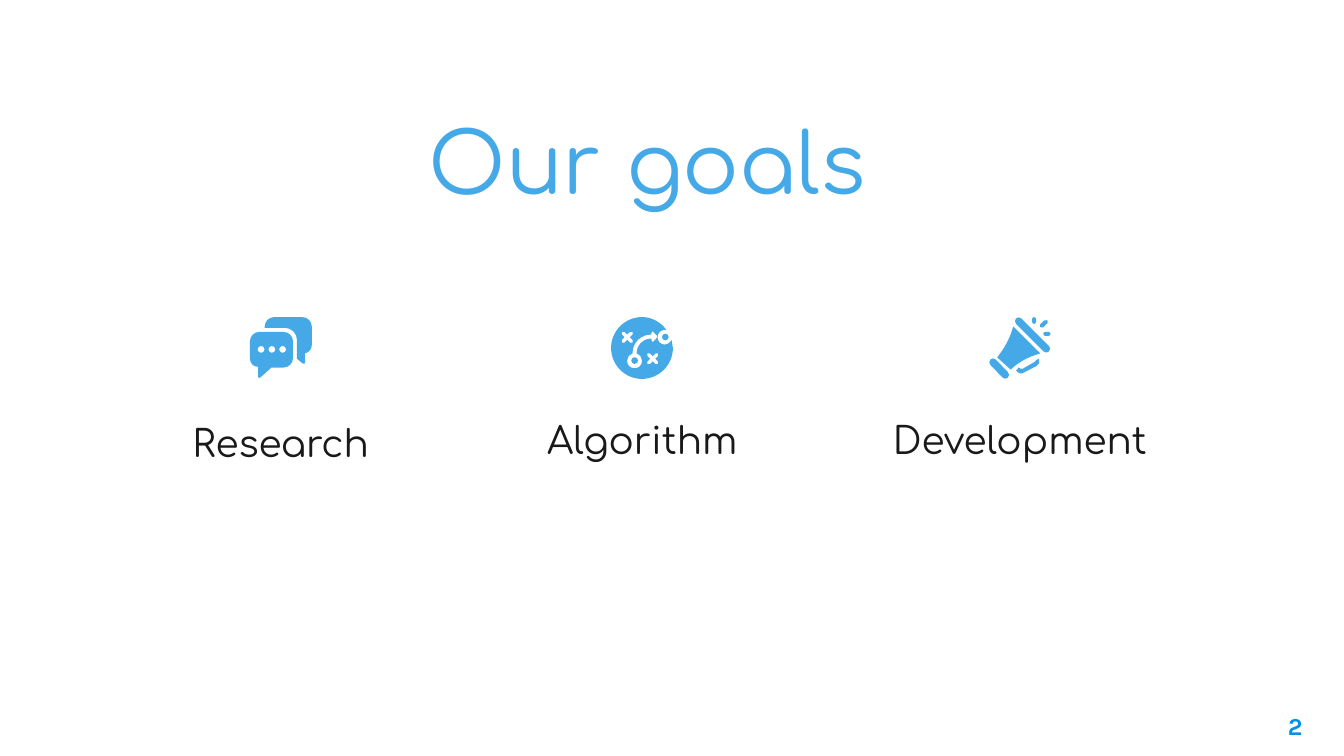
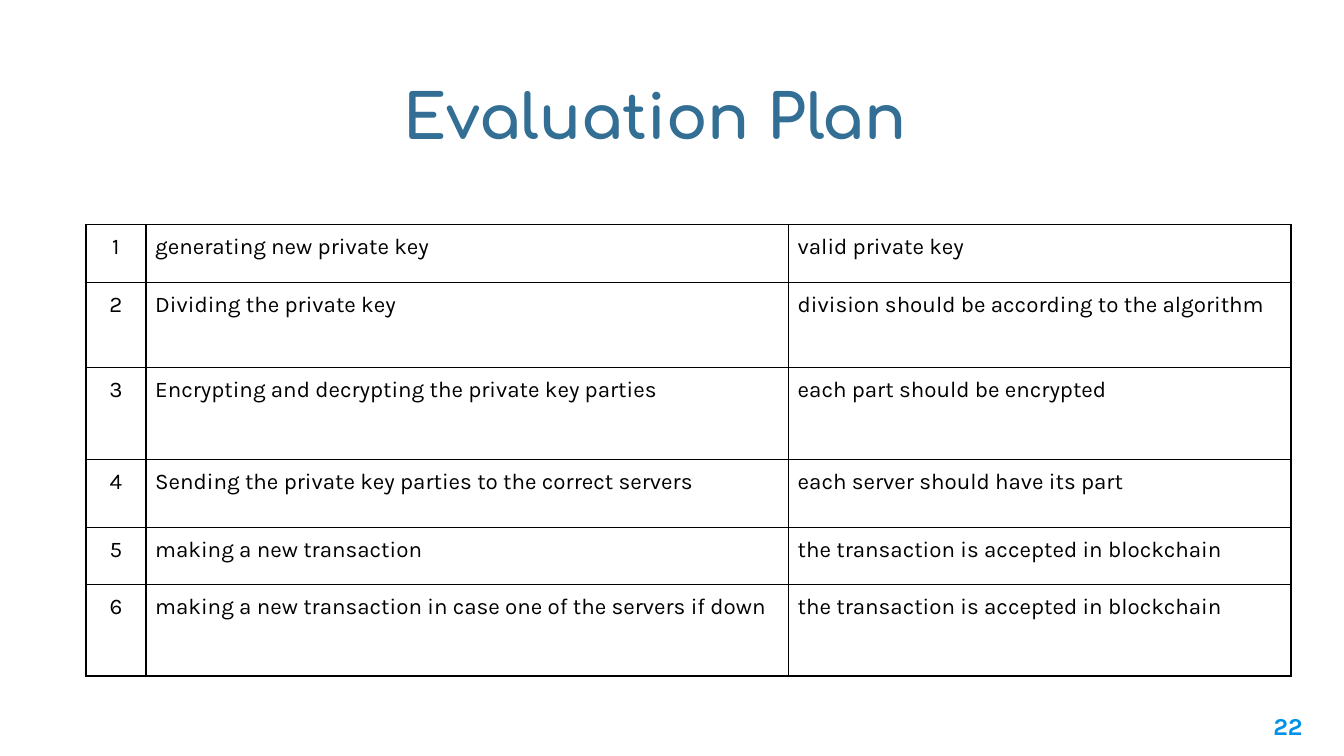
from math import dist
from lxml.etree import SubElement as sub
from pptx import Presentation
from pptx.dml.color import RGBColor
from pptx.enum.text import MSO_ANCHOR as Anchor, PP_ALIGN as Align
from pptx.oxml.ns import qn
from pptx.util import Pt

color = RGBColor.from_string
SKY, STEEL, BLUE, INK = "46A9E7", "336E94", "0091EA", "191919"
BLACK, WHITE = "000000", "FFFFFF"
HEAD, BODY = "Comfortaa", "Karla"
UNIT = 0.72  # points per step of the icon grid


def write(frame, words, font, size, tint, align=Align.LEFT, bold=False):
    """Fill a text frame with one styled paragraph."""
    para = frame.paragraphs[0]
    para.alignment = align
    run = para.add_run()
    run.text = words
    style = {"name": font, "size": Pt(size), "bold": bold}
    for key, value in style.items():
        setattr(run.font, key, value)
    run.font.color.rgb = color(tint)


def draw(shapes, loops, left, top):
    """Add one shape from closed loops of corners (x, y, cut), each rounded by its cut."""
    pen, bends, count = None, [], 0
    for loop in loops:
        points = []
        for i, (x, y, cut) in enumerate(loop):
            if not cut:
                points.append((x, y))
                continue
            ends, grips = [], []
            for px, py, _ in (loop[i - 1], loop[(i + 1) % len(loop)]):
                part = cut / dist((x, y), (px, py))
                dx, dy = (px - x) * part, (py - y) * part
                ends.append((x + dx, y + dy))
                grips.append((x + 0.45 * dx, y + 0.45 * dy))
            if not points or dist(points[-1], ends[0]) > 0.01:
                points.append(ends[0])
            bends.append(count + len(points))
            points += [*grips, ends[1]]
        count += len(points)
        spots = [(Pt(x * UNIT), Pt(y * UNIT)) for x, y in points]
        if pen is None:
            pen = shapes.build_freeform(*spots[0])
        else:
            pen.move_to(*spots[0])
        pen.add_line_segments(spots[1:], close=True)
    shape = pen.convert_to_shape(Pt(left), Pt(top))
    # Each rounded corner turns three line steps into one curve
    track = next(shape._element.iter(qn("a:path")))
    steps = [step for step in track if step.tag != qn("a:close")]
    for i in bends:
        steps[i].tag = qn("a:cubicBezTo")
        for step in steps[i + 1:i + 3]:
            steps[i].append(step[0])
            track.remove(step)
    shape.shadow.inherit = False
    shape.fill.solid()
    shape.fill.fore_color.rgb = color(SKY)
    shape.line.fill.background()


deck = Presentation()
deck.slide_width, deck.slide_height = Pt(720), Pt(405)
goals, plan = [deck.slides.add_slide(deck.slide_layouts[6]) for _ in range(2)]

# Text boxes: slide, words, box, anchor, then font, size, colour, alignment, bold
mid = (HEAD, 20, INK, Align.CENTER)
num = (BODY, 13, BLUE, Align.RIGHT, True)
corner = (661.7, 373.7, 43.2, 31)
texts = [
    (goals, "2", corner, Anchor.TOP, num),
    (goals, "Our goals", (43.2, 63.7, 607, 45.4), Anchor.MIDDLE,
     (HEAD, 45, SKY, Align.CENTER)),
    (goals, "Research", (58.3, 216, 184.3, 41.8), Anchor.MIDDLE, mid),
    (goals, "Algorithm", (252, 214.6, 184.3, 41.8), Anchor.MIDDLE, mid),
    (goals, "Development", (454.3, 214.6, 184.3, 41.8), Anchor.MIDDLE, mid),
    (plan, "22", corner, Anchor.TOP, num),
    (plan, "Evaluation Plan", (209.2, 23.8, 301.7, 64.8), Anchor.BOTTOM,
     (HEAD, 33, STEEL, Align.LEFT, True)),
]
for slide, words, box, anchor, style in texts:
    frame = slide.shapes.add_textbox(*map(Pt, box)).text_frame
    form = {"word_wrap": True, "vertical_anchor": anchor}
    form.update({f"margin_{side}": Pt(7.2)
                 for side in ("left", "right", "top", "bottom")})
    for key, value in form.items():
        setattr(frame, key, value)
    write(frame, words, *style)

# Round parts: centre and half size
turns = [(-1, -1), (1, -1), (1, 1), (-1, 1)]
rounds = [(8.3, 24, 2.6, 2.6), (16.3, 24, 2.6, 2.6), (24.3, 24, 2.6, 2.6),
          (17.5, 32.3, 2.5, 2.5), (40.3, 14.8, 2.5, 2.5),
          (33.5, 2.5, 1.5, 2.5), (43, 12.5, 2.7, 1.5)]
ovals = [[(x + a * w, y + b * h, min(w, h)) for a, b in turns]
         for x, y, w, h in rounds]

# Two crosses, each made of one arm turned four times
crosses = []
for cx, cy in ((12, 15), (31, 31)):
    arm, cross = [(0, -2, 0), (3, -5, 1.4), (5, -3, 1.4)], []
    for _ in range(4):
        cross += [(cx + x, cy + y, cut) for x, y, cut in arm]
        arm = [(-y, x, cut) for x, y, cut in arm]
    crosses.append(cross)

front = [(0, 11, 7), (32, 11, 7), (32, 37.5, 7), (16, 37.5, 0),
         (6, 46.5, 2.5), (6, 37, 0), (0, 37, 6)]
back = [(11, 0, 7), (46, 0, 7), (46, 27, 6), (41, 27, 0),
        (41, 36, 2.5), (35, 31, 0), (35, 8, 9), (11, 8, 0)]

disc = [(0, 0, 23), (0, 46, 23), (46, 46, 23), (46, 23, 0), (45, 17, 0),
        (43.5, 20.5, 3.5), (34.5, 20.5, 5.5), (34.5, 9.5, 5.5),
        (41, 9.5, 0), (35, 0, 11)]
arrow = [(30.3, 10, 1.4), (35, 14.5, 1), (30.5, 19.2, 1.4), (30, 16, 0),
         (19, 16, 11), (19, 27, 0), (23, 28, 4), (23, 38, 5),
         (12, 38, 5), (12, 28, 4), (16, 27, 0), (16.5, 13, 13),
         (30, 13, 0)]

spark = [(42, 1.5, 1.3), (44.5, 3.5, 1.3), (39.5, 8.5, 1.3), (37, 6.5, 1.3)]
rim = [(22, -1, 2.8), (46.5, 23.5, 2.8), (42.5, 27.5, 2.8), (18, 3, 2.8)]
base = [(3, 29.5, 2.8), (16, 43, 2.8), (12, 47, 2.8), (-1, 33.5, 2.8)]
cone = [(18, 7, 0), (16, 13, 0), (12, 22, 6), (6, 30, 0), (16, 39, 0),
        (23, 33, 6), (32, 29, 0), (38, 27, 0)]
grip = [(37, 31, 0), (35, 32, 0), (34.5, 33, 1), (24, 39, 1), (22, 37.5, 0),
        (20, 40, 0), (23.5, 42.5, 1.5), (38, 35, 3)]

icons = [
    (133.9, [[front, *ovals[:3]], [back]]),
    (327.4, [[ovals[3]], [disc, *crosses, arrow], [ovals[4]]]),
    (529.9, [[spark], [rim], [base], [cone], [ovals[5]], [ovals[6]], [grip]]),
]
for left, parts in icons:
    group = goals.shapes.add_group_shape()
    for loops in parts:
        draw(group.shapes, loops, left, 169.9)

# Evaluation table
rows = [
    ("generating new private key", "valid private key"),
    ("Dividing the private key", "division should be according to the algorithm"),
    ("Encrypting and decrypting the private key parties",
     "each part should be encrypted"),
    ("Sending the private key parties to the correct servers",
     "each server should have its part"),
    ("making a new transaction", "the transaction is accepted in blockchain"),
    ("making a new transaction in case one of the servers if down",
     "the transaction is accepted in blockchain"),
]
wide = [32.2, 344.2, 269.4]
high = [31.1, 45.4, 49.3, 36.6, 30.4, 49.2]
table = plan.shapes.add_table(len(rows), len(wide), Pt(46), Pt(120.3),
                              Pt(sum(wide)), Pt(sum(high))).table
table.first_row = table.horz_banding = False
for col, size in zip(table.columns, wide):
    col.width = Pt(size)
for row, size in zip(table.rows, high):
    row.height = Pt(size)
for r, row in enumerate(rows):
    for c, words in enumerate((str(r + 1), *row)):
        cell = table.cell(r, c)
        for side in ("left", "right", "top", "bottom"):
            setattr(cell, f"margin_{side}", Pt(5))
        props = cell._tc.get_or_add_tcPr()
        for edge in "LRTB":
            line = sub(props, qn(f"a:ln{edge}"), w=str(Pt(1)))
            sub(sub(line, qn("a:solidFill")), qn("a:srgbClr"), val=BLACK)
        cell.fill.solid()
        cell.fill.fore_color.rgb = color(WHITE)
        write(cell.text_frame, words, BODY, 12, BLACK,
              Align.LEFT if c else Align.CENTER)

deck.save("out.pptx")
